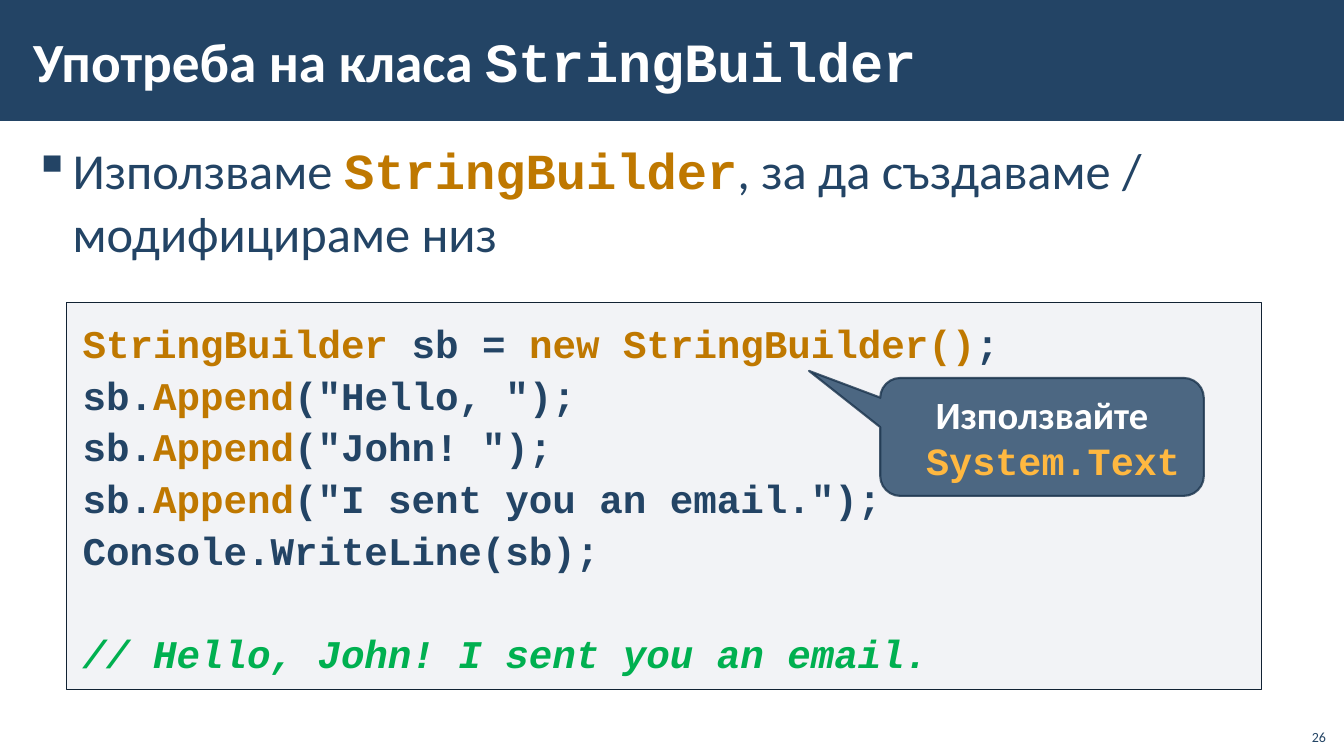
import pptx
import pptx.dml.color
import pptx.enum.shapes
import pptx.enum.text
import pptx.oxml.ns
import pptx.util
import lxml.etree

Inches = pptx.util.Inches
Pt = pptx.util.Pt
ALIGN = pptx.enum.text.PP_ALIGN
ANCHOR = pptx.enum.text.MSO_ANCHOR
SHAPE = pptx.enum.shapes.MSO_SHAPE

NAVY, WHITE, ORANGE, GREEN = "234465", "FFFFFF", "BF7800", "00B050"
BODY_FONT, CODE_FONT = "Calibri", "Courier New"


def color(value):
    return pptx.dml.color.RGBColor.from_string(value)


def add_child(parent, tag, **attributes):
    child = lxml.etree.SubElement(parent, pptx.oxml.ns.qn(tag))
    for name, value in attributes.items():
        child.set(name, value)
    return child


def set_opacity(fill_parent, percent):
    for rgb in fill_parent.iter(pptx.oxml.ns.qn("a:srgbClr")):
        add_child(rgb, "a:alpha", val=str(percent * 1000))


def write(paragraph, text, size=28, font=BODY_FONT, fill=NAVY, bold=False, italic=False):
    run = paragraph.add_run()
    run.text = text
    run.font.size = Pt(size)
    run.font.name = font
    run.font.color.rgb = color(fill)
    run.font.bold = bold
    run.font.italic = italic


class SlideBuilder:
    def __init__(self, slide):
        self.slide = slide

    def frame(self, shape, insets=(0.12, 0.04), anchor=ANCHOR.TOP):
        frame = shape.text_frame
        frame.word_wrap = True
        frame.vertical_anchor = anchor
        frame.margin_left = frame.margin_right = Inches(insets[0])
        frame.margin_top = frame.margin_bottom = Inches(insets[1])
        return frame

    def text_box(self, place, **options):
        box = self.slide.shapes.add_textbox(*map(Inches, place))
        return self.frame(box, **options)

    def shape(self, kind, place, fill, line=None, line_width=1, opacity=100, line_opacity=100):
        shape = self.slide.shapes.add_shape(kind, *map(Inches, place))
        shape.shadow.inherit = False
        shape.fill.solid()
        shape.fill.fore_color.rgb = color(fill)
        if opacity < 100:
            set_opacity(shape.fill._xPr.find(pptx.oxml.ns.qn("a:solidFill")), opacity)
        if line is None:
            shape.line.fill.background()
        else:
            shape.line.color.rgb = color(line)
            shape.line.width = Pt(line_width)
            if line_opacity < 100:
                set_opacity(shape.line._ln, line_opacity)
        return shape

    def code_block(self, place, lines):
        panel = self.shape(SHAPE.RECTANGLE, place, "ADB4C3", line="112233", opacity=15)
        frame = self.frame(panel, insets=(0.16, 0.12))
        for index, parts in enumerate(lines):
            paragraph = frame.paragraphs[0] if index == 0 else frame.add_paragraph()
            paragraph.alignment = ALIGN.LEFT
            paragraph.line_spacing = 1.1
            for text, fill in parts:
                write(paragraph, text, font=CODE_FONT, fill=fill, bold=True, italic=fill == GREEN)
        return frame

    def callout(self, place, adjustments):
        shape = self.shape(SHAPE.ROUNDED_RECTANGULAR_CALLOUT, place, NAVY, line="1A334C",
                           line_width=1.5, opacity=80, line_opacity=80)
        for index, value in enumerate(adjustments):
            shape.adjustments[index] = value
        return self.frame(shape, insets=(0.1, 0.05), anchor=ANCHOR.MIDDLE)


def main():
    presentation = pptx.Presentation()
    presentation.slide_width = Inches(13.33)
    presentation.slide_height = Inches(7.5)
    builder = SlideBuilder(presentation.slides.add_slide(presentation.slide_layouts[6]))

    # Title band
    builder.shape(SHAPE.RECTANGLE, (0, 0, 13.33, 1.2), NAVY)

    # Code panel
    def append_call(argument):
        return [("sb.", NAVY), ("Append", ORANGE), (f'("{argument}");', NAVY)]

    code = builder.code_block((0.66, 3, 11.85, 3.84), [
        [("StringBuilder ", ORANGE), ("sb = ", NAVY), ("new StringBuilder()", ORANGE), (";", NAVY)],
        *map(append_call, ("Hello, ", "John! ", "I sent you an email.")),
        [("Console.WriteLine(sb);", NAVY)],
        [("// Hello, John! I sent you an email.", GREEN)],
    ])
    code.paragraphs[-1].space_before = Pt(37)

    # Bullet
    bullet = builder.text_box((0.21, 1.31, 12.92, 1.36)).paragraphs[0]
    bullet.line_spacing = 1.05
    bullet.space_before = bullet.space_after = Pt(6)
    properties = bullet._p.get_or_add_pPr()
    properties.set("marL", str(Inches(0.39)))
    properties.set("indent", str(-Inches(0.39)))
    add_child(properties, "a:buChar", char="▪")
    write(bullet, "Използваме ", size=36)
    write(bullet, "StringBuilder", size=36, font=CODE_FONT, fill=ORANGE, bold=True)
    write(bullet, ", за да създаваме / модифицираме низ", size=36)

    # Title
    title = builder.text_box((0.21, 0.11, 11.23, 0.97), anchor=ANCHOR.MIDDLE).paragraphs[0]
    write(title, "Употреба на класа ", size=39.5, fill=WHITE, bold=True)
    write(title, "StringBuilder", size=39.5, font=CODE_FONT, fill=WHITE, bold=True)

    # Namespace callout
    callout = builder.callout((8.73, 3.75, 3.21, 1.17), (-0.72, -0.56, 0.17))
    advice, namespace = callout.paragraphs[0], callout.add_paragraph()
    advice.alignment = namespace.alignment = ALIGN.CENTER
    namespace._p.get_or_add_pPr().set("marL", str(Inches(0.22)))
    write(advice, "Използвайте", size=27.5, fill=WHITE, bold=True)
    write(namespace, "System.Text", size=27.5, font=CODE_FONT, fill="FFB840", bold=True)

    # Slide number
    number = builder.text_box((12.85, 7.12, 0.4, 0.32), insets=(0.1, 0.05),
                              anchor=ANCHOR.BOTTOM).paragraphs[0]
    number.alignment = ALIGN.RIGHT
    write(number, "26", size=10)

    presentation.save("out.pptx")


if __name__ == "__main__":
    main()
